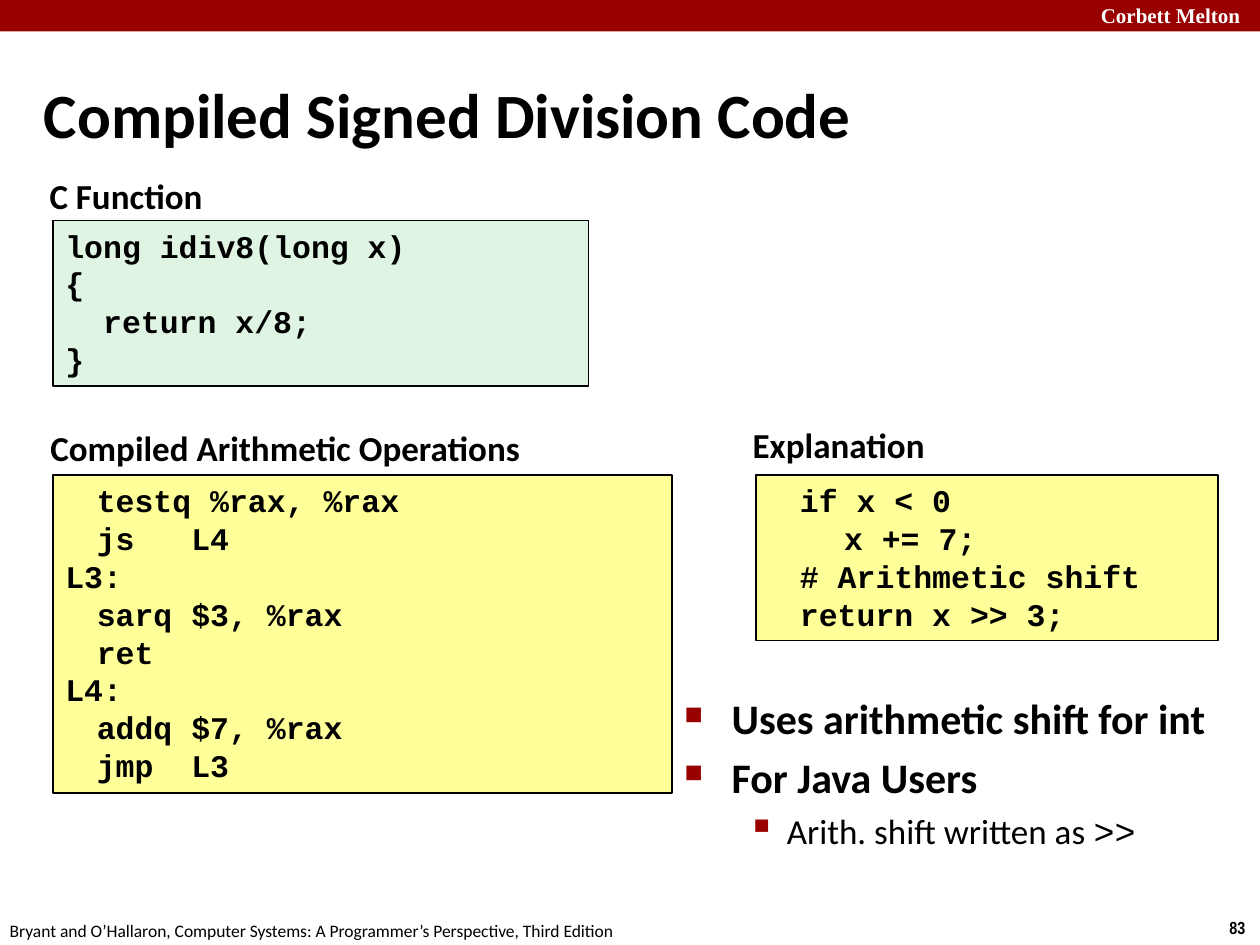
from dataclasses import dataclass, field

import lxml.etree
import pptx
import pptx.dml.color
import pptx.enum.shapes
import pptx.enum.text
import pptx.oxml.ns
import pptx.util

Pt = pptx.util.Pt
RGB = pptx.dml.color.RGBColor
Align = pptx.enum.text.PP_ALIGN
Anchor = pptx.enum.text.MSO_ANCHOR
Fit = pptx.enum.text.MSO_AUTO_SIZE
qn = pptx.oxml.ns.qn

RED = RGB(0x99, 0x00, 0x00)
WHITE = RGB(0xFF, 0xFF, 0xFF)
BLACK = RGB(0x00, 0x00, 0x00)
GREEN = RGB(0xE0, 0xF4, 0xE3)
YELLOW = RGB(0xFF, 0xFF, 0x99)

CODE = {"name": "Courier New", "size": Pt(18), "bold": True}
HEAD = {"name": "Calibri", "size": Pt(20), "bold": True}
POINT = {"name": "Calibri", "size": Pt(24), "bold": True}
SUB = {"name": "Calibri", "size": Pt(20), "bold": False}
SIGN = {**SUB, "name": "Courier New"}
TITLE = {"name": "Calibri", "size": Pt(36), "bold": True}
BRAND = {"name": "Times New Roman", "size": Pt(12), "bold": True, "color": WHITE}
PAGE = {"name": "Arial Narrow", "size": Pt(10), "bold": True}
FOOT = {"name": "Calibri", "size": Pt(10), "bold": False}

TAB = 18
CHAR = 10.8
EDGE = 30.24


@dataclass
class Line:
    runs: list[tuple[str, dict]]
    left: float = 0
    hang: float = 0
    tab: float = 0
    above: float = 0
    mark: str = ""
    scale: int = 100
    level: int = 0


@dataclass
class Box:
    at: tuple[float, float, float, float]
    lines: list[Line]
    frame: dict = field(default_factory=dict)
    align: Align = Align.LEFT
    pad: float = 0
    fill: RGB | None = None
    edge: bool = False


def style(run, look: dict) -> None:
    for key, value in {"color": BLACK, **look}.items():
        if key == "color":
            run.font.color.rgb = value
        else:
            setattr(run.font, key, value)


def add_node(root, tag: str, **values: str):
    return lxml.etree.SubElement(root, qn(tag), values)


def write_line(para, line: Line, align: Align) -> None:
    para.alignment = align
    para.level = line.level
    props = para._p.get_or_add_pPr()
    if line.left:
        props.set("marL", str(int(Pt(line.left))))
        props.set("indent", str(int(Pt(-line.hang))))
    if line.above:
        para.space_before = Pt(line.above)
    if line.mark:
        tint = add_node(props, "a:buClr")
        add_node(tint, "a:srgbClr", val=str(RED))
        add_node(props, "a:buSzPct", val=str(line.scale * 1000))
        add_node(props, "a:buChar", char=line.mark)
    if line.tab:
        stops = add_node(props, "a:tabLst")
        add_node(stops, "a:tab", pos=str(int(Pt(line.tab))), algn="l")
    for text, look in line.runs:
        run = para.add_run()
        run.text = text
        style(run, look)


def draw_box(slide, box: Box) -> None:
    place = [Pt(n) for n in box.at]
    if box.fill is None:
        shape = slide.shapes.add_textbox(*place)
    else:
        kind = pptx.enum.shapes.MSO_SHAPE.RECTANGLE
        shape = slide.shapes.add_shape(kind, *place)
        shape.shadow.inherit = False
        shape.fill.solid()
        shape.fill.fore_color.rgb = box.fill
        if box.edge:
            shape.line.color.rgb = BLACK
            shape.line.width = Pt(1)
        else:
            shape.line.fill.background()
    frame = shape.text_frame
    base = {"word_wrap": True, "auto_size": Fit.SHAPE_TO_FIT_TEXT,
            "vertical_anchor": Anchor.TOP}
    if box.pad:
        for side in ("left", "top", "right", "bottom"):
            base[f"margin_{side}"] = Pt(box.pad)
    if box.lines:
        for key, value in {**base, **box.frame}.items():
            setattr(frame, key, value)
    for i, line in enumerate(box.lines):
        para = frame.add_paragraph() if i else frame.paragraphs[0]
        write_line(para, line, box.align)


def code(*texts: str) -> list[Line]:
    lines = []
    for text in texts:
        bare = text.lstrip(" ")
        left = CHAR * (len(text) - len(bare))
        lines.append(Line([(bare, CODE)], left=left, tab=TAB))
    return lines


def code_box(left: float, top: float, width: float, height: float,
             fill: RGB, *texts: str) -> Box:
    return Box((left, top, width, height), code(*texts), fill=fill, edge=True)


def head(left: float, top: float, width: float, text: str) -> Box:
    return Box((left, top, width, 31.5), [Line([(text, HEAD)])],
               LOOSE, Align.CENTER, pad=3.6)


def point(text: str) -> Line:
    return Line([(text, POINT)], 27, 27, above=4.8, mark="■", scale=60)


FIXED = {"auto_size": Fit.NONE}
LOOSE = {"word_wrap": False}

BOXES = [
    Box((0, 0, 720, 18), [], fill=RED),
    Box((622, -2.2, 103, 21.6), [Line([("Corbett Melton", BRAND)])], LOOSE),
    Box((695.5, 520.5, 24.5, 19.4), [Line([("83", PAGE)])], LOOSE),
    Box((-1.5, 522, 366, 19.4), [Line([(
        "Bryant and O’Hallaron, Computer Systems: "
        "A Programmer’s Perspective, Third Edition", FOOT)])], LOOSE),
    code_box(EDGE, 271.5, 354, 181.5, YELLOW,
             "\ttestq %rax, %rax", "\tjs\tL4", "L3:", "\tsarq\t$3, %rax",
             "\tret", "L4:", "\taddq\t$7, %rax", "\tjmp\tL3"),
    Box((18, 41.8, 624, 45.4),
        [Line([("Compiled Signed Division Code", TITLE)], 9, 9)],
        {**FIXED, "vertical_anchor": Anchor.MIDDLE}),
    Box((384, 392.4, 336, 93.6), [
        point("Uses arithmetic shift for int"),
        point("For Java Users"),
        Line([("Arith. shift written as ", SUB), (">>", SIGN)],
             58.5, 22.5, above=4, mark="▪", scale=110, level=1),
    ], FIXED),
    code_box(EDGE, 126, 306, 94.5, GREEN,
             "long idiv8(long x)", "{", "  return x/8;", "}"),
    code_box(432, 271.5, 264, 94.5, YELLOW,
             "\tif x < 0", "    x += 7;", "\t# Arithmetic shift",
             "\treturn x >> 3;"),
    head(24, 96, 96, "C Function"),
    head(24, 240, 278, "Compiled Arithmetic Operations"),
    head(426, 238.5, 106.5, "Explanation"),
]


def main() -> None:
    deck = pptx.Presentation()
    deck.slide_width, deck.slide_height = Pt(720), Pt(540)
    slide = deck.slides.add_slide(deck.slide_layouts[6])
    for box in BOXES:
        draw_box(slide, box)
    deck.save("out.pptx")


if __name__ == "__main__":
    main()
